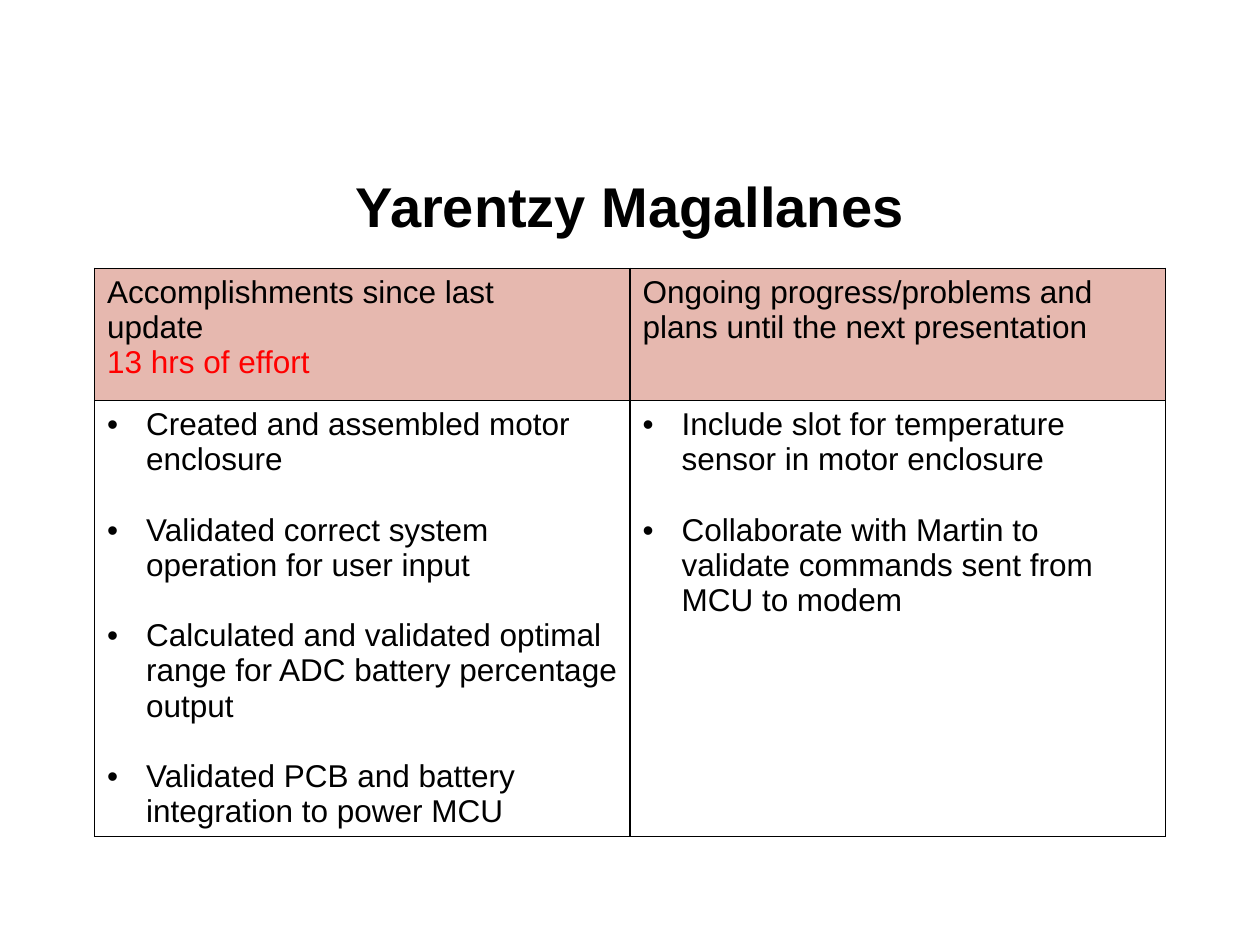
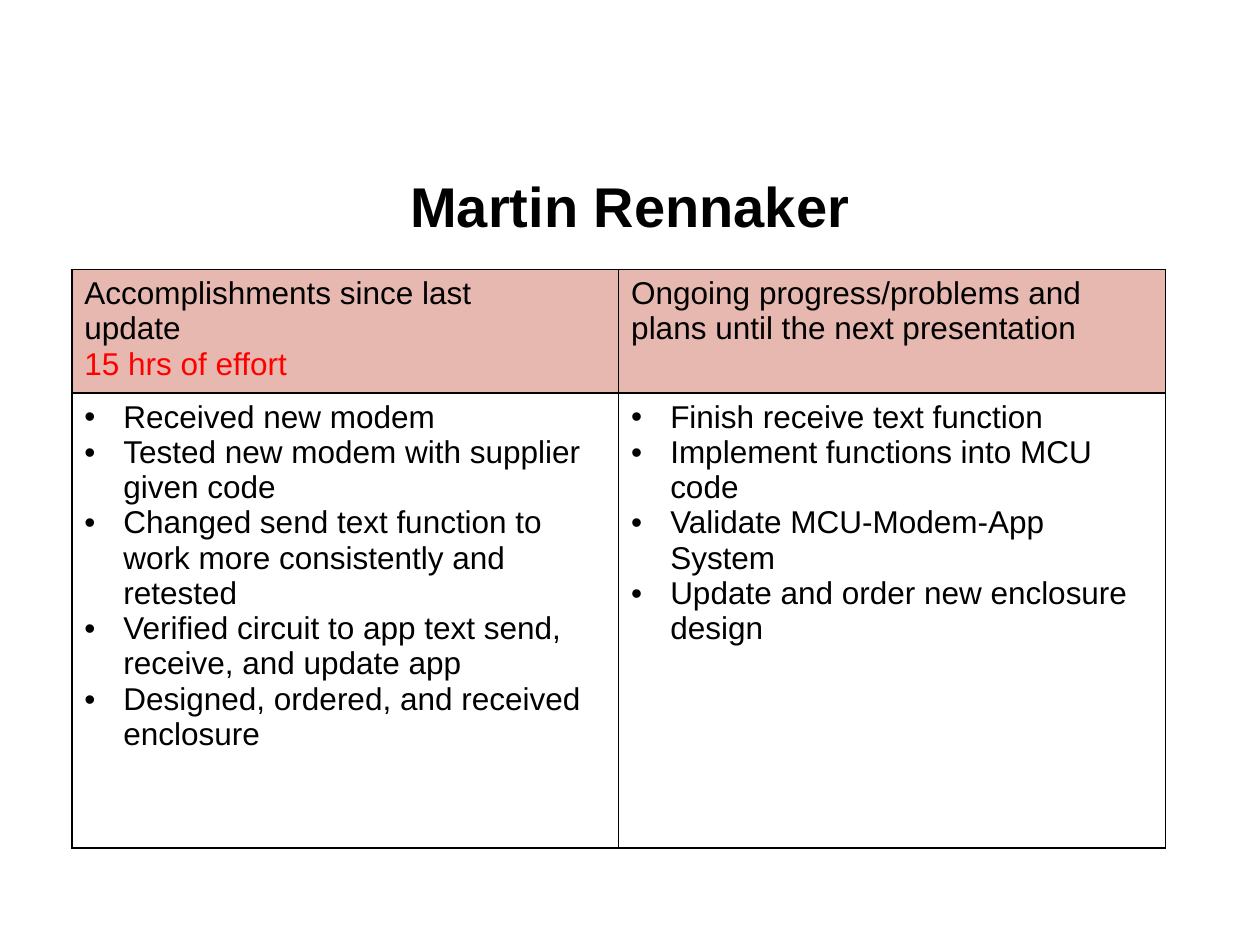
from dataclasses import dataclass

from lxml.etree import SubElement
from pptx import Presentation
from pptx.dml.color import RGBColor
from pptx.enum.text import MSO_ANCHOR, MSO_AUTO_SIZE, PP_ALIGN
from pptx.oxml.ns import qn
from pptx.util import Inches, Pt


@dataclass(frozen=True)
class Theme:
    font: str = "Arial"
    ink: str = "000000"
    alert: str = "FF0000"
    band: str = "E6B8AF"
    title: int = 32
    body: int = 18
    edge: int = 1
    indent: float = 0.31


THEME = Theme()
DONE = ("Accomplishments since last", "update")
PLANS = "Ongoing progress/problems and plans until the next presentation"


def add_text(frame, text, first=False, size=THEME.body, color=THEME.ink,
             bold=False, align=PP_ALIGN.LEFT, lead=1.0, gap=0, bullet=False):
    para = frame.paragraphs[0] if first else frame.add_paragraph()
    if bullet:
        props = para._p.get_or_add_pPr()
        props.set("marL", str(Inches(THEME.indent)))
        props.set("indent", str(-Inches(THEME.indent)))
        SubElement(props, qn("a:buFont"), typeface=THEME.font)
        SubElement(props, qn("a:buChar"), char="•")
    para.alignment = align
    para.line_spacing = lead
    para.space_before = Pt(0 if first else gap)
    run = para.add_run()
    run.text = text
    font = run.font
    font.name, font.size, font.bold = THEME.font, Pt(size), bold
    font.color.rgb = RGBColor.from_string(color)


def add_title(slide, name):
    title = slide.shapes.title
    title.left, title.top = Inches(0.5), Inches(1.15)
    title.width, title.height = Inches(9), Inches(0.88)
    frame = title.text_frame
    frame.auto_size = MSO_AUTO_SIZE.NONE
    frame.word_wrap = True
    frame.vertical_anchor = MSO_ANCHOR.MIDDLE
    add_text(frame, name, first=True, size=THEME.title, bold=True,
             align=PP_ALIGN.CENTER, lead=1.15)


def style_cell(cell, fill=None):
    props = cell._tc.get_or_add_tcPr()
    for side in "LRTB":
        line = SubElement(props, qn(f"a:ln{side}"), w=str(Pt(THEME.edge)))
        paint = SubElement(line, qn("a:solidFill"))
        SubElement(paint, qn("a:srgbClr"), val=THEME.ink)
    if fill:
        cell.fill.solid()
        cell.fill.fore_color.rgb = RGBColor.from_string(fill)
    else:
        cell.fill.background()


def add_list(cell, items, gap):
    for rank, item in enumerate(items):
        add_text(cell.text_frame, item, first=rank == 0, gap=gap, bullet=True)


def add_grid(slide, left, top, width, rows, hours, lists, gap):
    frame = slide.shapes.add_table(2, 2, Inches(left), Inches(top),
                                   Inches(width), Inches(sum(rows)))
    table = frame.table
    table.first_row = table.horz_banding = False
    for col in table.columns:
        col.width = Inches(width / 2)
    for row, height in zip(table.rows, rows):
        row.height = Inches(height)
    for col, items in enumerate(lists):
        style_cell(table.cell(0, col), THEME.band)
        style_cell(table.cell(1, col))
        add_list(table.cell(1, col), items, gap)
    done = table.cell(0, 0).text_frame
    for rank, line in enumerate(DONE):
        add_text(done, line, first=rank == 0)
    add_text(done, f"{hours} hrs of effort", color=THEME.alert)
    add_text(table.cell(0, 1).text_frame, PLANS, first=True)


def add_report(deck, name, **grid):
    slide = deck.slides.add_slide(deck.slide_layouts[5])
    add_title(slide, name)
    add_grid(slide, **grid)


def main():
    deck = Presentation()
    deck.slide_width, deck.slide_height = Inches(10), Inches(7.5)
    add_report(
        deck, "Yarentzy Magallanes", left=0.75, top=2.13, width=8.5,
        rows=(1.05, 3.46), hours=13, gap=20,
        lists=(
            ("Created and assembled motor enclosure",
             "Validated correct system operation for user input",
             "Calculated and validated optimal range for ADC battery percentage output",
             "Validated PCB and battery integration to power MCU"),
            ("Include slot for temperature sensor in motor enclosure",
             "Collaborate with Martin to validate commands sent from MCU to modem"),
        ))
    add_report(
        deck, "Martin Rennaker", left=0.57, top=2.14, width=8.68,
        rows=(0.98, 3.61), hours=15, gap=0,
        lists=(
            ("Received new modem",
             "Tested new modem with supplier given code",
             "Changed send text function to work more consistently and retested",
             "Verified circuit to app text send, receive, and update app",
             "Designed, ordered, and received enclosure"),
            ("Finish receive text function",
             "Implement functions into MCU code",
             "Validate MCU-Modem-App System",
             "Update and order new enclosure design"),
        ))
    deck.save("out.pptx")


if __name__ == "__main__":
    main()
